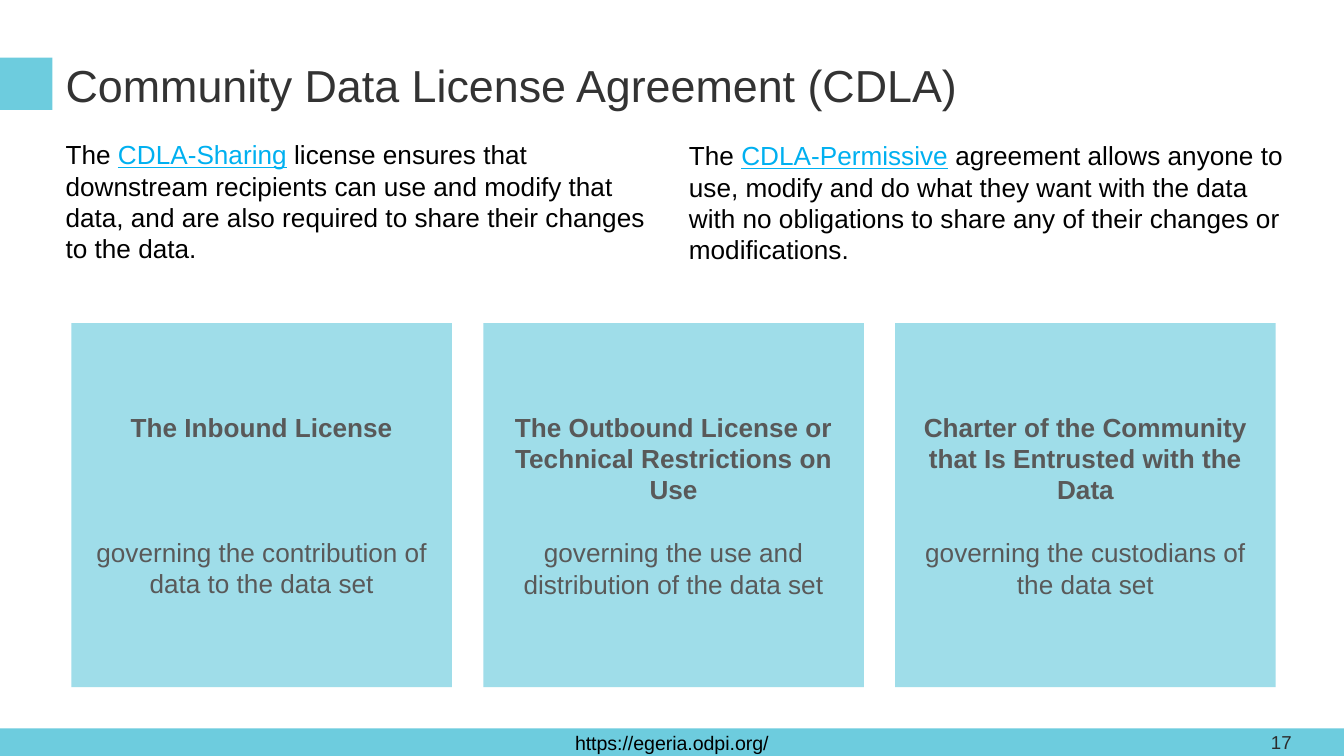
import pptx
import pptx.util
import pptx.dml.color
import pptx.enum.shapes
import pptx.enum.text
import pptx.oxml
import pptx.oxml.ns
from pptx.util import Cm

TEAL = "6DCCDE"
LINE_PITCH = 16.75  # points per line of 14 pt text
ALIGN = pptx.enum.text.PP_ALIGN
MIDDLE = pptx.enum.text.MSO_ANCHOR.MIDDLE


def rgb(value):
    return pptx.dml.color.RGBColor.from_string(value)


def style_font(font, size, colour, bold=False, underline=False):
    font.name = "Arial"
    font.size = pptx.util.Pt(size)
    font.color.rgb = rgb(colour)
    font.bold = bold
    font.underline = underline


def set_frame(frame, side, edge, anchor=MIDDLE):
    frame.word_wrap = True
    frame.vertical_anchor = anchor
    frame.margin_left = frame.margin_right = Cm(side)
    frame.margin_top = frame.margin_bottom = Cm(edge)


def add_block(page, box, opacity=100):
    block = page.shapes.add_shape(
        pptx.enum.shapes.MSO_SHAPE.RECTANGLE, *map(Cm, box))
    block.shadow.inherit = False
    block.fill.solid()
    block.fill.fore_color.rgb = rgb(TEAL)
    block.line.fill.background()
    if opacity < 100:
        colour = block.fill._xPr.find(".//" + pptx.oxml.ns.qn("a:srgbClr"))
        alpha = pptx.oxml.parse_xml(
            f'<a:alpha {pptx.oxml.ns.nsdecls("a")} val="{opacity * 1000}"/>')
        colour.append(alpha)
    return block


def add_footer(page, box, address, number):
    left, top, width, height = box
    bar = add_block(page, box)
    set_frame(bar.text_frame, 0.25, 0.13)
    para = bar.text_frame.paragraphs[0]
    para.text = address
    para.alignment = ALIGN.CENTER
    style_font(para.runs[0].font, 10.5, "000000")

    # Page number at the right end of the bar
    number_box = page.shapes.add_textbox(
        Cm(left + width - 1.63), Cm(top), Cm(1.52), Cm(height))
    set_frame(number_box.text_frame, 0.25, 0.25)
    number_box.text_frame.text = number
    style_font(number_box.text_frame.paragraphs[0].runs[0].font, 10, "2C2C2C")


def add_heading(page, box, text):
    left, top, width, height = box
    add_block(page, (0, top + 0.28, left, left))
    title = page.shapes.title
    title.left, title.top, title.width, title.height = map(Cm, box)
    set_frame(title.text_frame, 0.25, 0.25)
    title.text_frame.text = text
    para = title.text_frame.paragraphs[0]
    para.alignment = ALIGN.LEFT
    style_font(para.runs[0].font, 24, "333333")


def add_licence_text(page, box, name, rest):
    text_box = page.shapes.add_textbox(*map(Cm, box))
    set_frame(text_box.text_frame, 0.25, 0.13, pptx.enum.text.MSO_ANCHOR.TOP)
    para = text_box.text_frame.paragraphs[0]
    for text, is_name in (("The ", False), (name, True), (rest, False)):
        span = para.add_run()
        span.text = text
        style_font(span.font, 14, "00B0F0" if is_name else "000000",
                   underline=is_name)


def add_card(page, box, heading, detail, gap_lines):
    card = add_block(page, box, opacity=65)
    frame = card.text_frame
    set_frame(frame, 0.25, 0.13)
    frame.text = f"{heading}\n{detail}"
    for para, bold in zip(frame.paragraphs, (True, False)):
        para.alignment = ALIGN.CENTER
        style_font(para.runs[0].font, 14, "595959", bold=bold)
    frame.paragraphs[1].space_before = pptx.util.Pt(gap_lines * LINE_PITCH)


def add_card_row(page, box, cards, gap):
    left, top, width, height = box
    card_width = (width - gap * (len(cards) - 1)) / len(cards)
    for index, card in enumerate(cards):
        card_left = left + index * (card_width + gap)
        add_card(page, (card_left, top, card_width, height), *card)


def main():
    deck = pptx.Presentation()
    deck.slide_width, deck.slide_height = Cm(25.4), Cm(14.29)
    page = deck.slides.add_slide(deck.slide_layouts[5])

    add_footer(page, (0, 13.77, 25.4, 0.52), "https://egeria.odpi.org/", "17")
    add_heading(page, (0.99, 0.81, 23.55, 1.57),
                "Community Data License Agreement (CDLA)")

    # The two licences
    add_licence_text(
        page, (0.99, 2.49, 11.71, 2.64), "CDLA-Sharing",
        " license ensures that downstream recipients can use and modify that "
        "data, and are also required to share their changes to the data.")
    add_licence_text(
        page, (12.77, 2.51, 11.76, 2.64), "CDLA-Permissive",
        " agreement allows anyone to use, modify and do what they want with "
        "the data with no obligations to share any of their changes or "
        "modifications.")

    # Heading, detail and the lines left free between them
    cards = [
        ("The Inbound License",
         "governing the contribution of data to the data set", 3),
        ("The Outbound License or Technical Restrictions on Use",
         "governing the use and distribution of the data set", 1),
        ("Charter of the Community that Is Entrusted with the Data",
         "governing the custodians of the data set", 1),
    ]
    add_card_row(page, (1.35, 6.11, 22.76, 6.88), cards, gap=0.59)

    deck.save("out.pptx")


if __name__ == "__main__":
    main()
